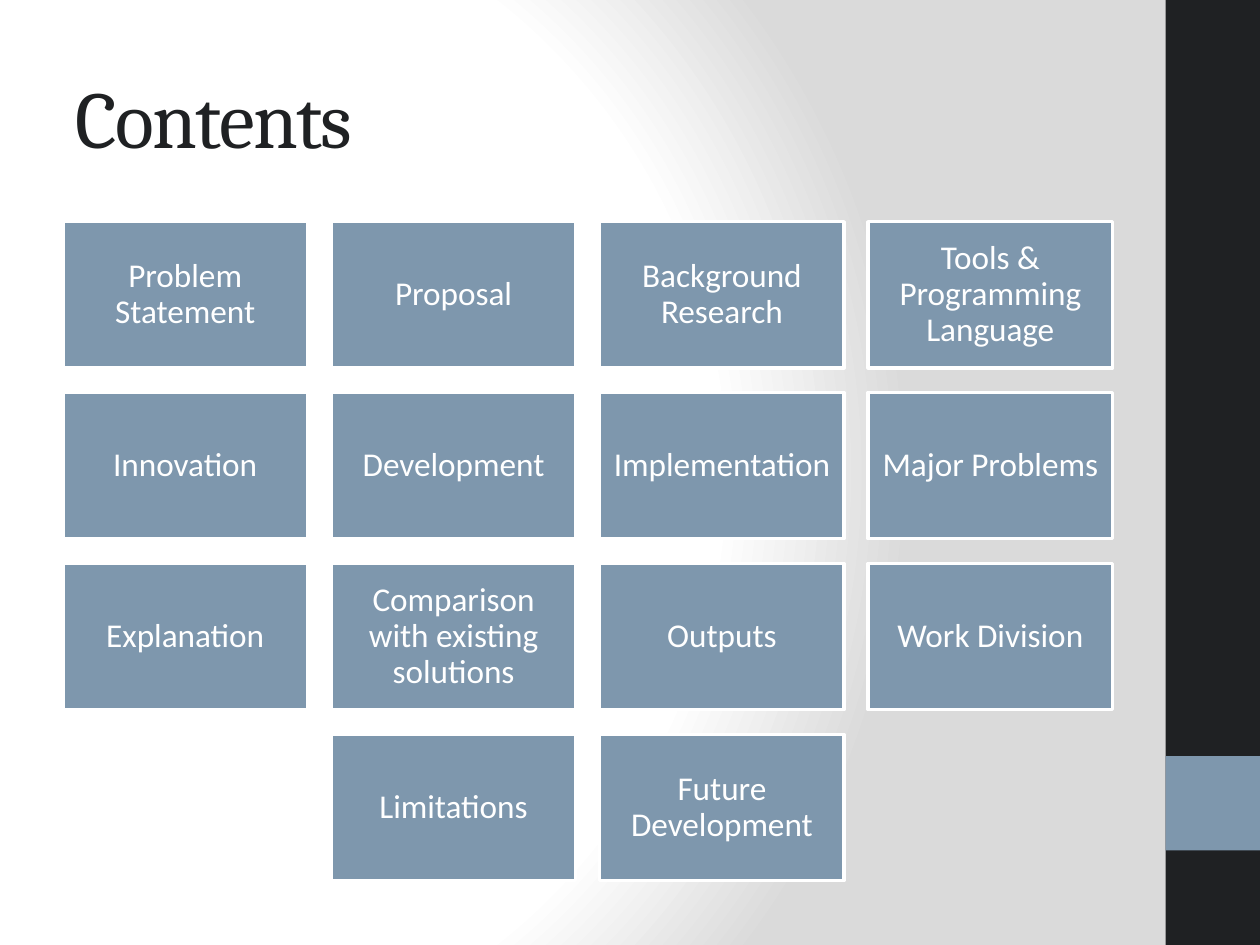
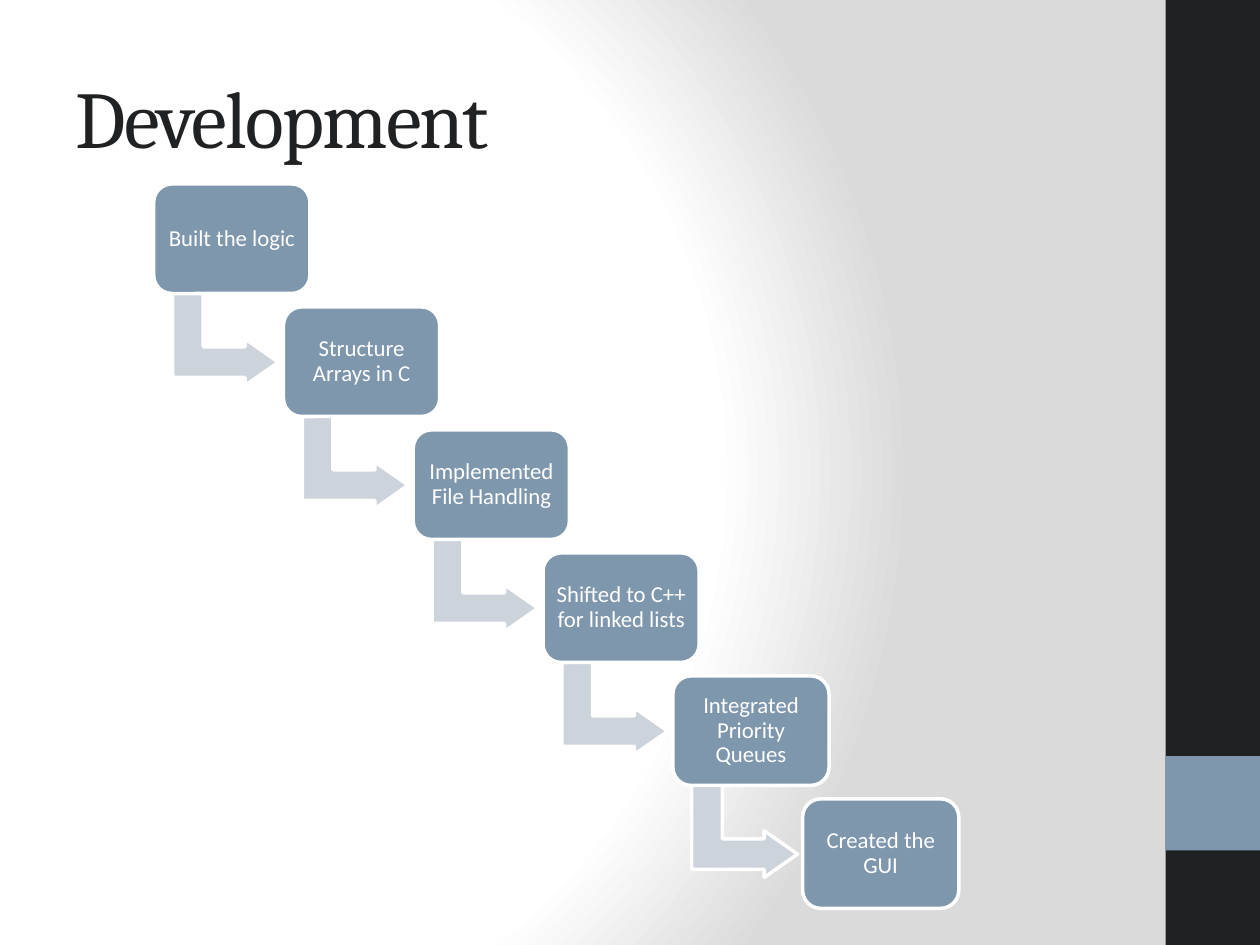
"""Build a contents grid and a staircase of development steps."""
from dataclasses import dataclass

from pptx import Presentation
from pptx.dml.color import RGBColor
from pptx.enum.shapes import MSO_SHAPE
from pptx.enum.text import MSO_ANCHOR, PP_ALIGN
from pptx.oxml import parse_xml
from pptx.oxml.ns import nsdecls, qn
from pptx.util import Inches, Pt

INK, STEEL, PALE, WHITE, GREY = "1F2123", "7E97AD", "CCD3DB", "FFFFFF", "DADADA"
HEADING_FONT, BODY_FONT = "Cambria", "Calibri"

TOPICS = [
    "Problem Statement", "Proposal", "Background Research", "Tools & Programming Language",
    "Innovation", "Development", "Implementation", "Major Problems",
    "Explanation", "Comparison with existing solutions", "Outputs", "Work Division",
    "Limitations", "Future Development",
]
STEPS = [
    "Built the logic", "Structure Arrays in C", "Implemented File Handling",
    "Shifted to C++ for linked lists", "Integrated Priority Queues", "Created the GUI",
]


@dataclass(frozen=True)
class Box:
    """A position and size in inches."""
    left: float
    top: float
    width: float
    height: float

    def lengths(self):
        """Return the four values as lengths."""
        return [Inches(n) for n in (self.left, self.top, self.width, self.height)]

    def shifted(self, across: float, down: float) -> "Box":
        """Return the box moved by the given distances."""
        return Box(self.left + across, self.top + down, self.width, self.height)


TITLE = Box(0.5, 0.3, 8.33, 1.25)
SIDE_BAND = Box(9.25, 0, 0.75, 7.5)
BAND_ACCENT = Box(9.25, 6, 0.75, 0.75)
FIRST_TOPIC = Box(0.5, 1.76, 1.94, 1.16)
COLUMNS, COLUMN_PITCH, ROW_PITCH = 4, 2.13, (5.83 - 1.76) / 3
FIRST_STEP = Box(1.22, 1.46, 1.24, 0.87)
FIRST_BEND = Box(1.42, 2.27, 0.74, 0.84)
STEP_ACROSS, STEP_DOWN = 1.03, (6.34 - 1.46) / 5


def colour(value: str) -> RGBColor:
    """Turn a hex string into a colour."""
    return RGBColor.from_string(value)


def write(frame, text: str, *, size: float, font: str = BODY_FONT, ink: str = WHITE,
          align=PP_ALIGN.CENTER, margin: float = 0.08, line_spacing: float = 0.9,
          tracking: float = 0) -> None:
    """Write one formatted, vertically centred paragraph."""
    frame.word_wrap = True
    frame.vertical_anchor = MSO_ANCHOR.MIDDLE
    frame.margin_left = frame.margin_right = Inches(margin)
    frame.margin_top = frame.margin_bottom = Inches(margin)
    paragraph = frame.paragraphs[0]
    paragraph.alignment, paragraph.line_spacing = align, line_spacing
    run = paragraph.add_run()
    run.text = text
    run.font.size, run.font.name = Pt(size), font
    run.font.color.rgb = colour(ink)
    if tracking:
        run.font._element.set("spc", str(int(tracking * 100)))


def draw(slide, preset, box: Box, fill: str, outlined: bool = True,
         adjustments: tuple[float, ...] = ()):
    """Draw a filled preset shape, with a white outline if wanted."""
    shape = slide.shapes.add_shape(preset, *box.lengths())
    shape.shadow.inherit = False
    shape.fill.solid()
    shape.fill.fore_color.rgb = colour(fill)
    if outlined:
        shape.line.color.rgb = colour(WHITE)
        shape.line.width = Pt(2)
    else:
        shape.line.fill.background()
    for index, value in enumerate(adjustments):
        shape.adjustments[index] = value
    return shape


def style_master(deck, slide) -> None:
    """Give the master its radial background and side bands."""
    master = deck.slide_master
    content = master.element.cSld
    for old in content.findall(qn("p:bg")):
        content.remove(old)
    stops = "".join(
        f'<a:gs pos="{place * 1000}"><a:srgbClr val="{shade}"/></a:gs>'
        for place, shade in ((0, WHITE), (75, WHITE), (100, GREY)))
    content.insert(0, parse_xml(
        f'<p:bg {nsdecls("p", "a")}><p:bgPr><a:gradFill rotWithShape="1">'
        f'<a:gsLst>{stops}</a:gsLst><a:path path="circle">'
        '<a:fillToRect l="20000" t="50000" r="100000" b="50000"/></a:path>'
        '</a:gradFill><a:effectLst/></p:bgPr></p:bg>'))
    bands = ((SIDE_BAND, INK), (BAND_ACCENT, STEEL))
    for order, (box, fill) in enumerate(bands):
        band = draw(slide, MSO_SHAPE.RECTANGLE, box, fill, outlined=False)
        band.element.nvSpPr.cNvPr.set("id", str(101 + order))
        master.shapes.element.insert(2 + order, band.element)


def add_titled_slide(deck, heading: str):
    """Add a slide with its title placed and formatted."""
    slide = deck.slides.add_slide(deck.slide_layouts.get_by_name("Title Only"))
    title = slide.shapes.title
    title.left, title.top, title.width, title.height = TITLE.lengths()
    write(title.text_frame, heading, size=46, font=HEADING_FONT, ink=INK,
          align=PP_ALIGN.LEFT, margin=0.1, line_spacing=1.0, tracking=-1)
    return slide


def add_topic_grid(slide) -> None:
    """Lay the topics out in rows, centring the short last row."""
    for row, start in enumerate(range(0, len(TOPICS), COLUMNS)):
        topics = TOPICS[start:start + COLUMNS]
        indent = (COLUMNS - len(topics)) / 2
        for column, topic in enumerate(topics):
            box = FIRST_TOPIC.shifted((column + indent) * COLUMN_PITCH, row * ROW_PITCH)
            tile = draw(slide, MSO_SHAPE.RECTANGLE, box, STEEL)
            write(tile.text_frame, topic, size=19)


def add_staircase(slide) -> None:
    """Draw the steps downwards, with a bent arrow between neighbours."""
    for index, step in enumerate(STEPS):
        offset = index * STEP_ACROSS, index * STEP_DOWN
        if index < len(STEPS) - 1:
            bend = draw(slide, MSO_SHAPE.BENT_UP_ARROW, FIRST_BEND.shifted(*offset), PALE,
                        adjustments=(0.328, 0.25, 0.358))
            bend.rotation = 90
        stair = draw(slide, MSO_SHAPE.ROUNDED_RECTANGLE, FIRST_STEP.shifted(*offset), STEEL,
                     adjustments=(0.167,))
        write(stair.text_frame, step, size=13, margin=0.05)


def main() -> None:
    """Build and save the presentation."""
    deck = Presentation()
    deck.slide_width, deck.slide_height = Inches(10), Inches(7.5)
    contents = add_titled_slide(deck, "Contents")
    style_master(deck, contents)
    add_topic_grid(contents)
    add_staircase(add_titled_slide(deck, "Development"))
    deck.save("out.pptx")


main()
